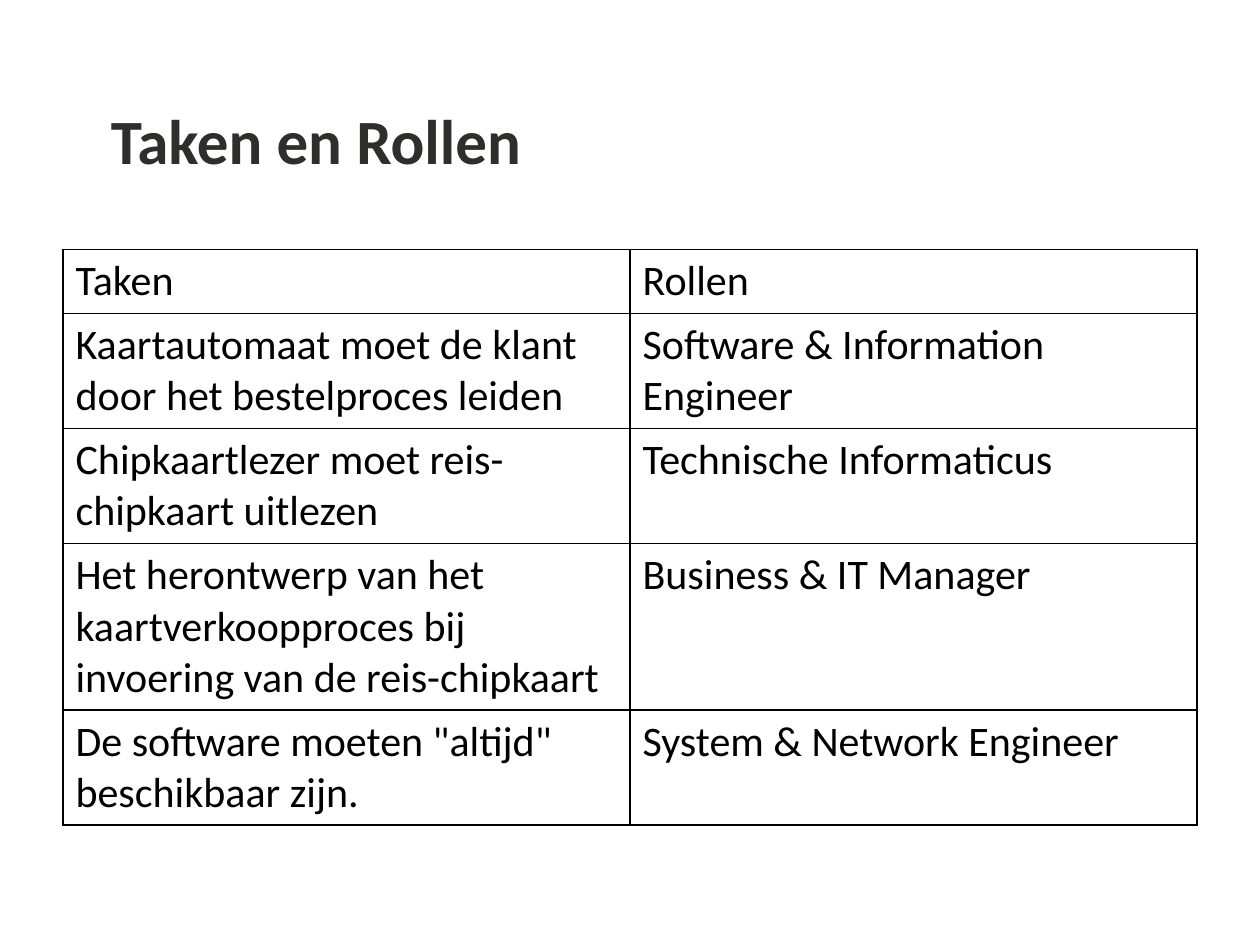
from typing import NamedTuple

from lxml import etree
from pptx import Presentation
from pptx.dml.color import RGBColor
from pptx.enum.text import MSO_ANCHOR, MSO_AUTO_SIZE, PP_ALIGN
from pptx.oxml.ns import qn
from pptx.slide import Slide
from pptx.table import _Cell
from pptx.util import Inches, Pt

LEFT = PP_ALIGN.LEFT
BOTTOM = MSO_ANCHOR.BOTTOM
NO_AUTOFIT = MSO_AUTO_SIZE.NONE
TITLE_ONLY_LAYOUT = 5

COLORS = {"title": "2D2F2B", "text": "000000", "border": "000000"}
TITLE_FONT = {"name": "Calibri", "size": Pt(36), "bold": True}
CELL_FONT = {"name": "Calibri", "size": Pt(24), "bold": False}


class Assignment(NamedTuple):
    task: str
    role: str


ASSIGNMENTS = [
    Assignment("Taken", "Rollen"),
    Assignment("Kaartautomaat moet de klant door het bestelproces leiden",
               "Software & Information Engineer"),
    Assignment("Chipkaartlezer moet reis-chipkaart uitlezen", "Technische Informaticus"),
    Assignment("Het herontwerp van het kaartverkoopproces bij invoering van de reis-chipkaart",
               "Business & IT Manager"),
    Assignment('De software moeten "altijd" beschikbaar zijn.', "System & Network Engineer"),
]


def write_text(frame, text: str, font_format: dict, color: str) -> None:
    para = frame.paragraphs[0]
    para.alignment = LEFT
    span = para.add_run()
    span.text = text
    for name, value in font_format.items():
        setattr(span.font, name, value)
    span.font.color.rgb = RGBColor.from_string(COLORS[color])


def add_borders(cell: _Cell) -> None:
    properties = cell._tc.get_or_add_tcPr()
    for side in ("lnL", "lnR", "lnT", "lnB"):
        line = etree.SubElement(properties, qn(f"a:{side}"), w=str(Pt(1)))
        fill = etree.SubElement(line, qn("a:solidFill"))
        etree.SubElement(fill, qn("a:srgbClr"), val=COLORS["border"])


def add_title(slide: Slide, text: str) -> None:
    title = slide.shapes.title
    title.left, title.top = Inches(0.78), Inches(0)
    title.width, title.height = Inches(8.5), Inches(1.61)
    frame = title.text_frame
    frame.auto_size = NO_AUTOFIT
    frame.vertical_anchor = BOTTOM
    frame.margin_bottom = Inches(0.2)
    write_text(frame, text, TITLE_FONT, "title")


def add_assignment_table(slide: Slide, assignments: list[Assignment]) -> None:
    box = slide.shapes.add_table(len(assignments), len(Assignment._fields),
                                 Inches(0.5), Inches(1.98), Inches(9), Inches(4.5))
    table = box.table
    table.first_row = False
    table.horz_banding = False
    for row, assignment in zip(table.rows, assignments):
        row.height = Inches(0.41)
        for cell, text in zip(row.cells, assignment):
            add_borders(cell)
            cell.fill.background()
            write_text(cell.text_frame, text, CELL_FONT, "text")
    box.height = Inches(4.5)


def main() -> None:
    deck = Presentation()
    deck.slide_width, deck.slide_height = Inches(10), Inches(7.5)
    slide = deck.slides.add_slide(deck.slide_layouts[TITLE_ONLY_LAYOUT])
    add_title(slide, "Taken en Rollen")
    add_assignment_table(slide, ASSIGNMENTS)
    deck.save("out.pptx")


if __name__ == "__main__":
    main()
